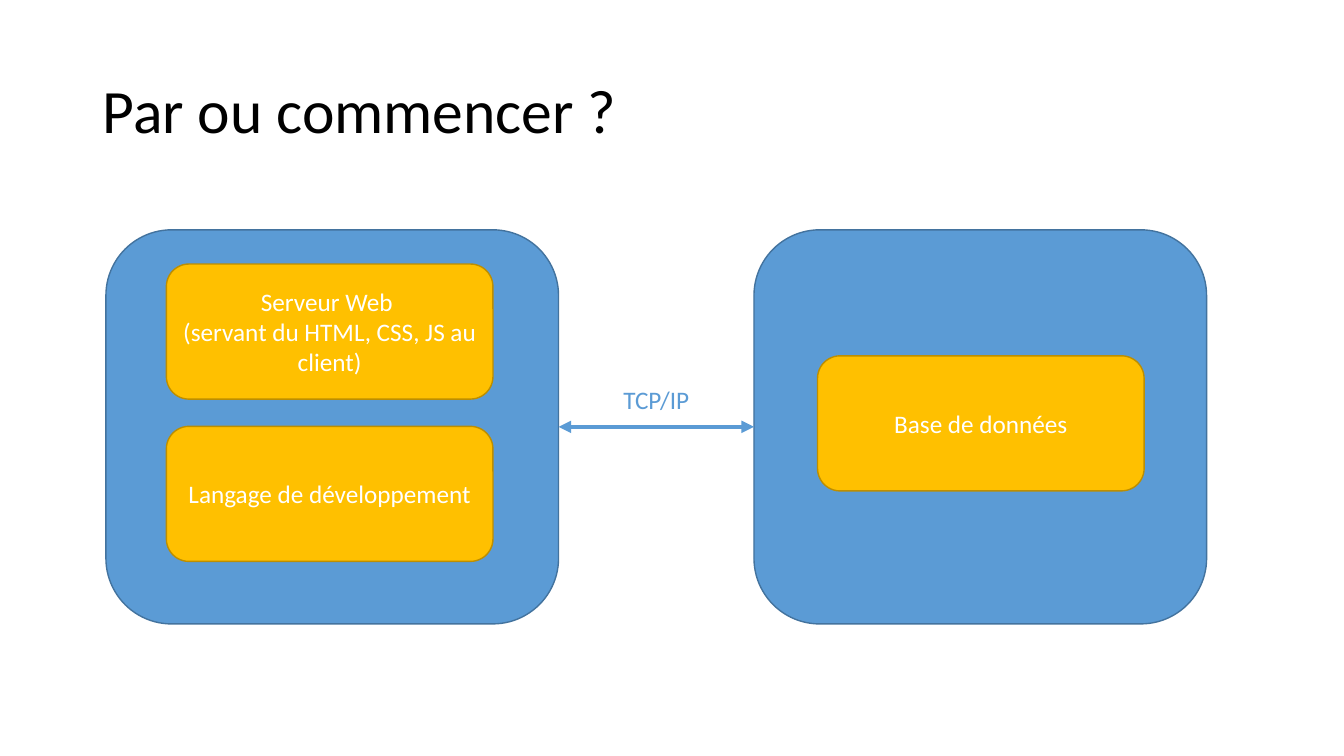
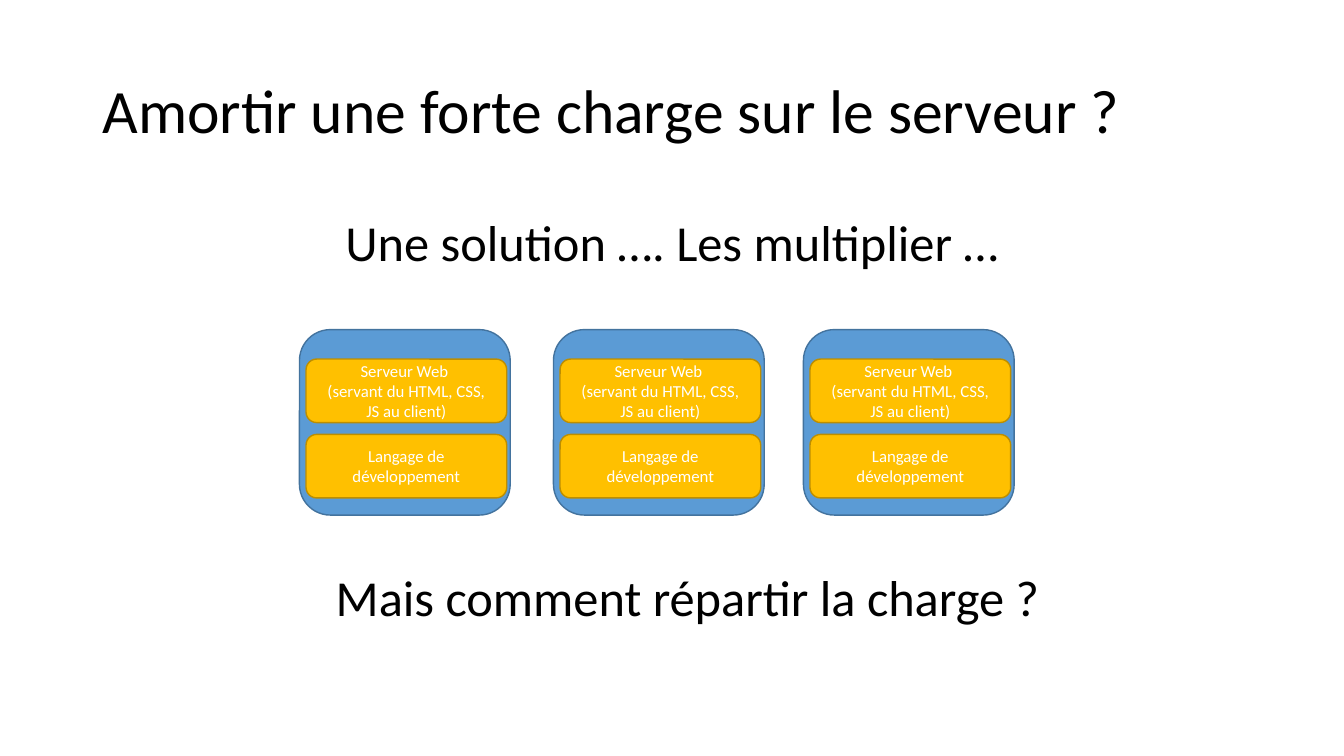
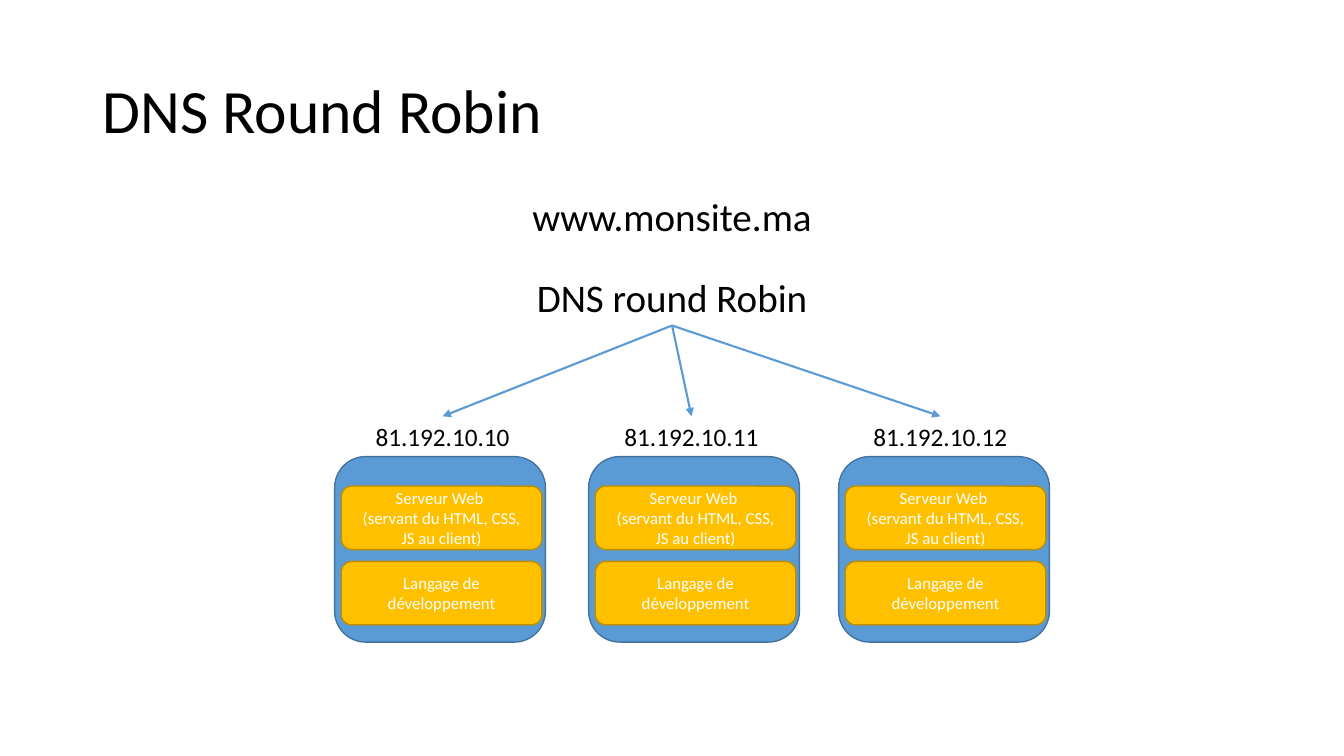
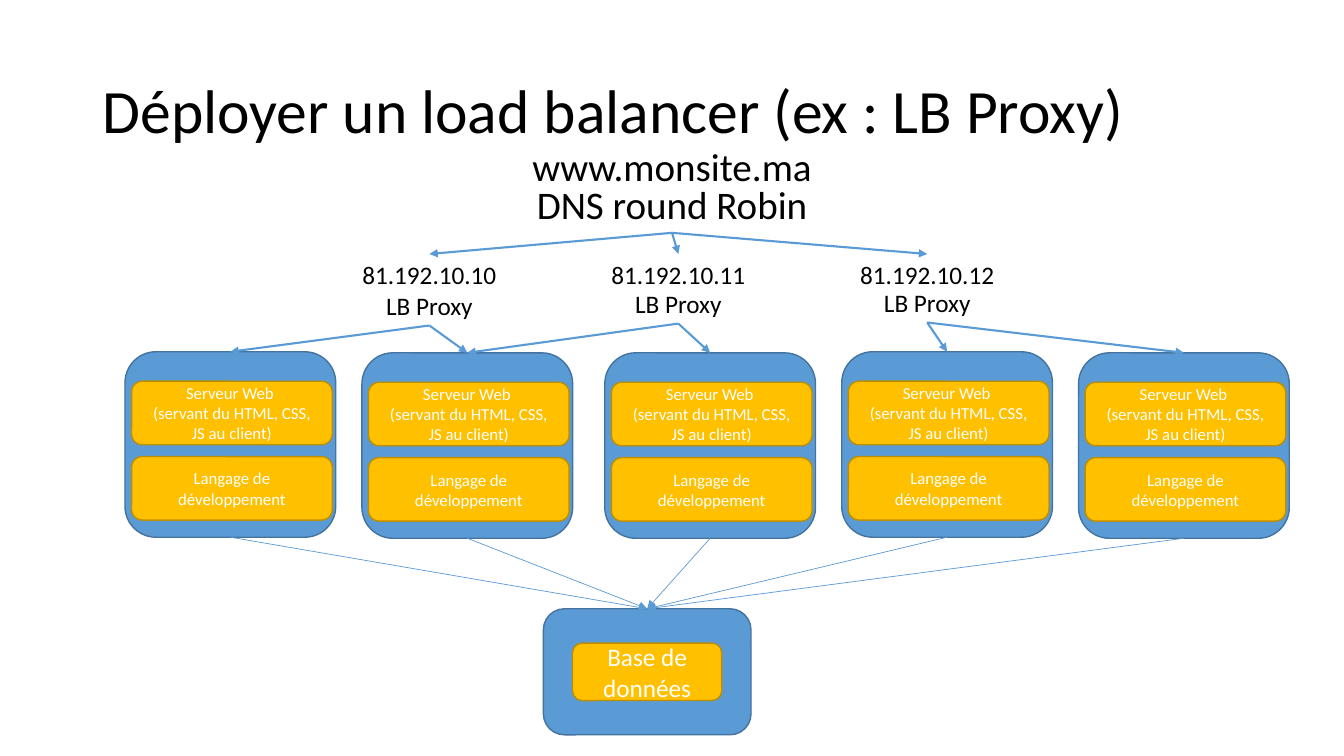
from dataclasses import dataclass
from enum import IntEnum

import pptx
import pptx.dml.color
import pptx.enum.shapes
import pptx.enum.text
import pptx.oxml
import pptx.oxml.ns
import pptx.util
from pptx.presentation import Presentation as Deck
from pptx.shapes.autoshape import Shape
from pptx.slide import Slide
from pptx.text.text import TextFrame

# Shared look
COLORS: dict[str, str] = {
    "ink": "000000",
    "white": "FFFFFF",
    "machine": "5B9BD5",
    "machine_edge": "43739E",
    "service": "FFC000",
    "service_edge": "BD8E00",
}
FONT = "Calibri"
SLIDE_WIDTH = pptx.util.Inches(13.33)
SLIDE_HEIGHT = pptx.util.Inches(7.5)
TITLE_ONLY = 5
CENTER = pptx.enum.text.PP_ALIGN.CENTER
MIDDLE = pptx.enum.text.MSO_ANCHOR.MIDDLE


class Side(IntEnum):
    """Connection sites of a rectangle."""
    TOP = 0
    LEFT = 1
    BOTTOM = 2
    RIGHT = 3


@dataclass(frozen=True)
class Box:
    """A place in percent of the slide's width and height."""
    left: float
    top: float
    width: float
    height: float

    def emu(self) -> tuple[int, int, int, int]:
        return (int(SLIDE_WIDTH * self.left / 100), int(SLIDE_HEIGHT * self.top / 100),
                int(SLIDE_WIDTH * self.width / 100), int(SLIDE_HEIGHT * self.height / 100))


@dataclass(frozen=True)
class TextStyle:
    size: float
    color: str = "ink"
    spacing: float = 1.0
    align: pptx.enum.text.PP_ALIGN = CENTER


TITLE_BOX = Box(6.88, 5.33, 86.25, 19.33)
TITLE = TextStyle(44, spacing=0.9, align=pptx.enum.text.PP_ALIGN.LEFT)
QUESTION = TextStyle(36, spacing=0.9)
DOMAIN = TextStyle(27.9, spacing=0.7)
LABEL = TextStyle(18)
LINK_LABEL = TextStyle(18, "machine")
SERVICE = TextStyle(18, "white")
SMALL_SERVICE = TextStyle(12, "white")

# Shared content
WEB_SERVER = ["Serveur Web ", "(servant du HTML, CSS, JS au client)"]
LANGUAGE = ["Langage de développement"]
DATABASE = ["Base de données"]
SITE = "www.monsite.ma"
ROUND_ROBIN = "DNS round Robin"
ADDRESSES = ["81.192.10.10", "81.192.10.11", "81.192.10.12"]

# Shared measures, in percent of the slide
LABEL_HEIGHT = 5.33
ADDRESS_WIDTH = 11.55
ADDRESS_PITCH = 18.52
PROXY_WIDTH = 8.48
SERVER_STEPS = [0, 18.9, 37.5]


def rgb(name: str) -> pptx.dml.color.RGBColor:
    return pptx.dml.color.RGBColor.from_string(COLORS[name])


# Drawing functions
def write(frame: TextFrame, lines: list[str], style: TextStyle) -> None:
    for index, line in enumerate(lines):
        paragraph = frame.add_paragraph() if index else frame.paragraphs[0]
        paragraph.alignment = style.align
        paragraph.line_spacing = style.spacing
        run = paragraph.add_run()
        run.text = line
        run.font.name = FONT
        run.font.size = pptx.util.Pt(style.size)
        run.font.color.rgb = rgb(style.color)


def add_titled_slide(deck: Deck, title: str) -> Slide:
    slide = deck.slides.add_slide(deck.slide_layouts[TITLE_ONLY])
    write(slide.shapes.title.text_frame, [title], TITLE)
    return slide


def add_heading(slide: Slide, text: str, top: float, height: float,
                style: TextStyle, left: float = TITLE_BOX.left) -> Shape:
    heading = slide.shapes.add_textbox(*Box(left, top, TITLE_BOX.width, height).emu())
    heading.text_frame.word_wrap = True
    heading.text_frame.vertical_anchor = MIDDLE
    write(heading.text_frame, [text], style)
    return heading


def add_label(slide: Slide, text: str, center: float, top: float, width: float,
              style: TextStyle = LABEL) -> Shape:
    box = Box(center - width / 2, top, width, LABEL_HEIGHT)
    label = slide.shapes.add_textbox(*box.emu())
    label.text_frame.word_wrap = False
    label.text_frame.auto_size = pptx.enum.text.MSO_AUTO_SIZE.SHAPE_TO_FIT_TEXT
    write(label.text_frame, [text], style)
    return label


def add_block(slide: Slide, box: Box, kind: str) -> Shape:
    block = slide.shapes.add_shape(
        pptx.enum.shapes.MSO_SHAPE.ROUNDED_RECTANGLE, *box.emu())
    block.shadow.inherit = False
    block.fill.solid()
    block.fill.fore_color.rgb = rgb(kind)
    block.line.color.rgb = rgb(kind + "_edge")
    block.line.width = pptx.util.Pt(1)
    return block


def add_service(slide: Slide, box: Box, lines: list[str], style: TextStyle) -> None:
    frame = add_block(slide, box, "service").text_frame
    frame.word_wrap = True
    frame.vertical_anchor = MIDDLE
    write(frame, lines, style)


def add_server(slide: Slide, left: float, top: float) -> Shape:
    """A small machine holding a web server and a language."""
    machine = add_block(slide, Box(left, top, 15.68, 24.53), "machine")
    for row, lines in enumerate([WEB_SERVER, LANGUAGE]):
        box = Box(left + 0.49, top + 3.9 + row * 9.97, 14.93, 8.4)
        add_service(slide, box, lines, SMALL_SERVICE)
    return machine


def add_servers(slide: Slide, left: float, top: float) -> None:
    for step in SERVER_STEPS:
        add_server(slide, left + step, top)


def add_arrow(slide: Slide, source: Shape, source_side: Side, target: Shape,
              target_side: Side, width: float = 1.5, both_ends: bool = False) -> None:
    arrow = slide.shapes.add_connector(pptx.enum.shapes.MSO_CONNECTOR.STRAIGHT, 0, 0, 0, 0)
    arrow.begin_connect(source, source_side)
    arrow.end_connect(target, target_side)
    arrow.line.color.rgb = rgb("machine")
    arrow.line.width = pptx.util.Pt(width)
    line = arrow.line._get_or_add_ln()
    for end in ["headEnd", "tailEnd"] if both_ends else ["tailEnd"]:
        line.append(pptx.oxml.parse_xml(
            f'<a:{end} {pptx.oxml.ns.nsdecls("a")} type="triangle"/>'))
    arrow._element.spPr.append(pptx.oxml.parse_xml(
        f'<a:effectLst {pptx.oxml.ns.nsdecls("a")}/>'))


def add_addresses(slide: Slide, dns: Shape, first_center: float, top: float) -> list[float]:
    """The three addresses with an arrow to each; returns their centers."""
    centers = [first_center + column * ADDRESS_PITCH for column in range(len(ADDRESSES))]
    for address, center in zip(ADDRESSES, centers):
        label = add_label(slide, address, center, top, ADDRESS_WIDTH)
        add_arrow(slide, dns, Side.BOTTOM, label, Side.TOP)
    return centers


# Slides
def build_start(deck: Deck) -> None:
    slide = add_titled_slide(deck, "Par ou commencer ?")
    front = add_block(slide, Box(7.88, 30.4, 33.68, 52.13), "machine")
    add_service(slide, Box(12.38, 34.93, 24.3, 17.87), WEB_SERVER, SERVICE)
    add_service(slide, Box(12.38, 56.4, 24.3, 17.87), LANGUAGE, SERVICE)
    back = add_block(slide, Box(56.1, 30.4, 33.68, 52.13), "machine")
    add_service(slide, Box(60.83, 47.07, 24.3, 17.87), DATABASE, SERVICE)
    add_arrow(slide, front, Side.RIGHT, back, Side.LEFT, width=3, both_ends=True)
    add_label(slide, "TCP/IP", 48.83, 50.13, 6.45, LINK_LABEL)


def build_load(deck: Deck) -> None:
    slide = add_titled_slide(deck, "Amortir une forte charge sur le serveur ?")
    add_heading(slide, "Une solution …. Les multiplier …", 26.27, 12.27, QUESTION)
    add_servers(slide, 22.28, 43.6)
    add_heading(slide, "Mais comment répartir la charge ?", 73.2, 12.27, QUESTION, left=8.03)


def build_round_robin(deck: Deck) -> None:
    slide = add_titled_slide(deck, "DNS Round Robin")
    add_heading(slide, SITE, 26.27, 6.13, DOMAIN)
    add_servers(slide, 24.9, 60.4)
    dns = add_heading(slide, ROUND_ROBIN, 36.93, 6.13, DOMAIN)
    add_addresses(slide, dns, 32.93, 55.07)


def build_balancer(deck: Deck) -> None:
    slide = add_titled_slide(deck, "Déployer un load balancer (ex : LB Proxy)")
    add_heading(slide, SITE, 19.6, 6.13, DOMAIN)
    dns = add_heading(slide, ROUND_ROBIN, 24.67, 6.13, DOMAIN)
    centers = add_addresses(slide, dns, 31.95, 33.6)

    # Servers, proxies and the database
    places = [(9.3, 46.53), (26.93, 46.67), (45, 46.67), (62.63, 46.53), (80.25, 46.67)]
    servers = [add_server(slide, left, top) for left, top in places]
    proxies = [add_label(slide, "LB Proxy", center, top, PROXY_WIDTH)
               for center, top in zip(centers, [37.73, 37.47, 37.33])]
    database = add_block(slide, Box(40.43, 80.53, 15.45, 16.67), "machine")
    add_service(slide, Box(42.6, 85.07, 11.1, 7.6), DATABASE, SERVICE)

    # Each proxy feeds two servers, every server uses the database
    for proxy, fed in zip(proxies, [(0, 1), (1, 2), (3, 4)]):
        for index in fed:
            add_arrow(slide, proxy, Side.BOTTOM, servers[index], Side.TOP)
    for server in servers:
        add_arrow(slide, server, Side.BOTTOM, database, Side.TOP, width=0.5)


def main() -> None:
    deck = pptx.Presentation()
    deck.slide_width = SLIDE_WIDTH
    deck.slide_height = SLIDE_HEIGHT

    # The title's place is set once, on the layout
    title = deck.slide_layouts[TITLE_ONLY].placeholders[0]
    title.left, title.top, title.width, title.height = TITLE_BOX.emu()
    title.text_frame.vertical_anchor = MIDDLE

    for build in (build_start, build_load, build_round_robin, build_balancer):
        build(deck)
    deck.save("out.pptx")


if __name__ == "__main__":
    main()
